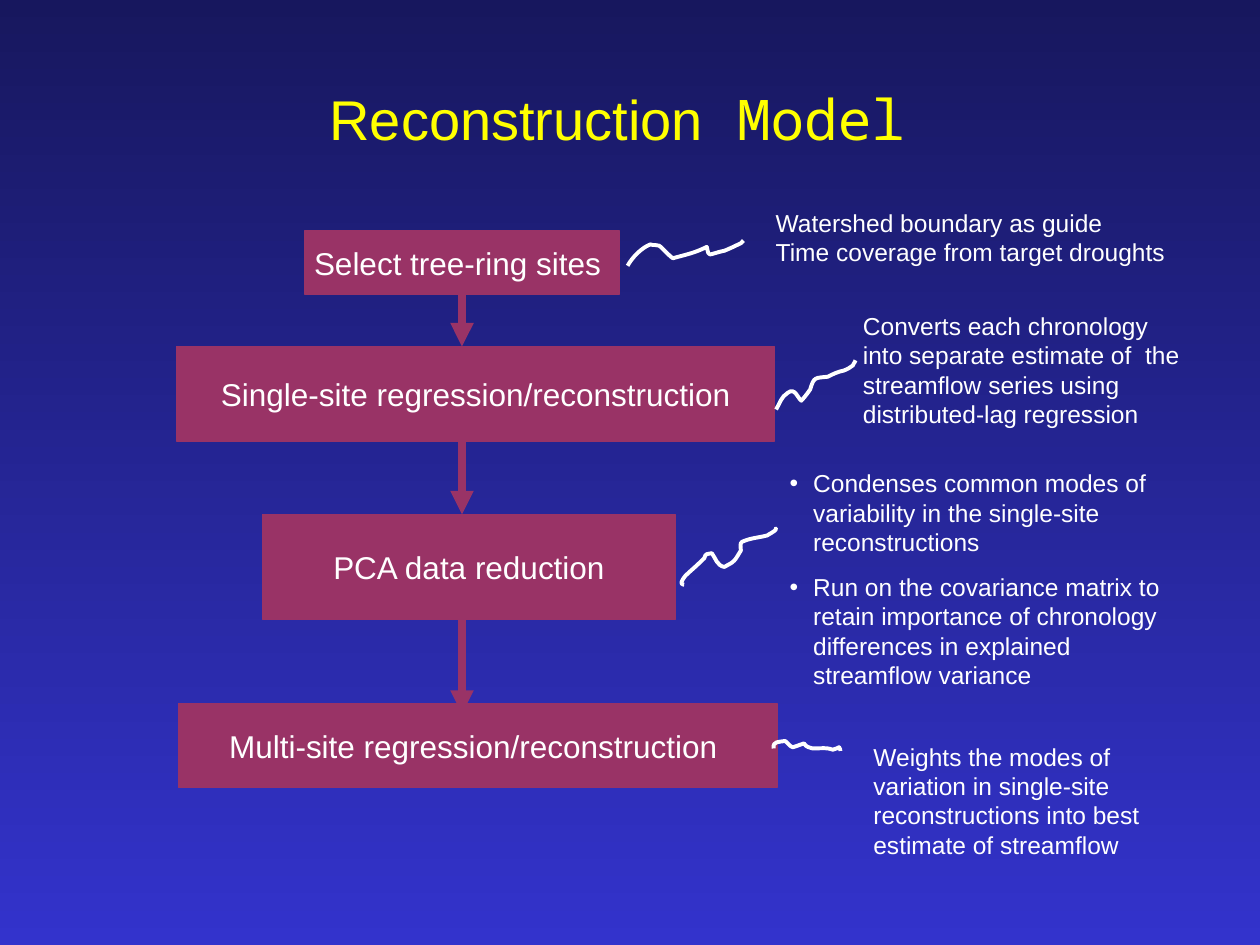
from lxml import etree
from pptx import Presentation
from pptx.dml.color import RGBColor
from pptx.enum.shapes import MSO_CONNECTOR, MSO_SHAPE
from pptx.enum.text import MSO_ANCHOR, MSO_AUTO_SIZE, PP_ALIGN
from pptx.oxml.ns import qn
from pptx.util import Pt

NAVY = RGBColor(0x17, 0x17, 0x5E)
BLUE = RGBColor(0x33, 0x33, 0xCC)
PLUM = RGBColor(0x99, 0x33, 0x66)
GOLD = RGBColor(0xFF, 0xFF, 0x00)
WHITE = RGBColor(0xFF, 0xFF, 0xFF)
SANS, MONO = "Arial", "Noto Sans Mono"
CENTER, MIDDLE = PP_ALIGN.CENTER, MSO_ANCHOR.MIDDLE
GROW, RECT, LINE = MSO_AUTO_SIZE.SHAPE_TO_FIT_TEXT, MSO_SHAPE.RECTANGLE, MSO_CONNECTOR.STRAIGHT

# Title runs: text, font, size
TITLE = [("Reconstruction", SANS, 32), (" Model", MONO, 32), (" ", MONO, 44)]

# Steps: text, (left, top, width, height)
STEPS = [
    ("Select tree-ring sites ", (174, 132, 180, 36)),
    ("Single-site regression/reconstruction", (100.8, 198, 342, 54)),
    ("PCA data reduction", (150, 294, 236, 60)),
    ("Multi-site regression/reconstruction ", (102, 402, 342, 48)),
]
AXIS = 264  # x of the arrows
ENDS = [198, 294, 408]  # y of the arrow tips

# Notes: lines, (left, top, width, height), wrap, bullets
NOTES = [
    (["Watershed boundary as guide", "Time coverage from target droughts"],
     (436.2, 115.3, 237.6, 41), False, False),
    (["Converts each chronology into separate estimate of  the streamflow "
      "series using distributed-lag regression"],
     (486, 174.2, 198, 75), True, False),
    (["Condenses common modes of variability in the single-site reconstructions",
      "Run on the covariance matrix to retain importance of chronology "
      "differences in explained streamflow variance"],
     (444.1, 264, 246, 134), True, True),
    (["Weights the modes of variation in single-site reconstructions into best "
      "estimate of streamflow"],
     (492, 420.2, 186, 75), True, False),
]

# Squiggles: start point, then three Bezier points per piece
CURVES = [
    [(358.6, 151.9),
     (361.4, 146.9), (366.5, 141.8), (371.5, 139.7),
     (373.7, 140.4), (375.1, 139.7), (376.6, 140.4),
     (378, 141.1), (382.3, 146.2), (384.5, 147.6),
     (392.4, 145.4), (396.7, 144.7), (403.9, 141.1),
     (405.4, 147.6), (403.9, 145.4), (414, 143.3),
     (417.6, 141.8), (419, 141.1), (423.4, 139),
     (424.1, 138.2), (424.8, 137.5), (424.8, 137.5)],
    [(443.5, 234),
     (445.7, 230.4), (446.4, 226.8), (450, 224.6),
     (454.3, 221), (455.8, 227.5), (457.9, 229),
     (460.1, 226.8), (463, 222.5), (463, 222.5),
     (465.1, 215.3), (465.8, 216), (473, 215.3),
     (475.9, 213.8), (478.8, 212.4), (482.4, 211.7),
     (483.8, 211), (486, 210.2), (487.4, 208.8),
     (488.2, 206.6), (488.2, 208.1), (488.9, 205.9)],
    [(391, 334.1),
     (391, 334.1), (389.5, 334.1), (389.5, 333.4),
     (388.8, 332.6), (391.7, 329), (391.7, 329),
     (394.6, 326.2), (397.4, 324), (400.3, 321.1),
     (401, 320.4), (402.5, 319), (402.5, 319),
     (403.2, 316.1), (403.9, 316.8), (406.8, 316.1),
     (409, 319), (409.7, 323.3), (414, 324),
     (417.6, 321.8), (419, 321.8), (421.2, 318.2),
     (421.9, 316.8), (422.6, 316.1), (423.4, 314.6),
     (423.4, 313.2), (422.6, 310.3), (424.1, 309.6),
     (429.1, 307.4), (432.7, 307.4), (438.5, 306),
     (439.2, 305.3), (442.8, 303.8), (443.5, 302.4),
     (444.2, 301.7), (442.8, 302.4), (442.8, 302.4)],
    [(442.1, 427.7),
     (441.4, 423.4), (445, 424.1), (448.6, 423.4),
     (450, 424.1), (450.7, 426.2), (452.9, 427),
     (453.6, 427), (457.2, 425.5), (459.4, 424.8),
     (460.8, 427), (462.2, 427), (464.4, 427.7),
     (470.2, 427.7), (471.6, 427), (475.9, 428.4),
     (477.4, 428.4), (478.8, 427), (479.5, 427),
     (480.2, 427.7), (480.2, 429.1), (480.2, 429.1)],
]


def place(box):
    return [Pt(v) for v in box]


def style(font, size, color=WHITE, name=SANS):
    font.name, font.size, font.color.rgb = name, Pt(size), color


def bullet(para):
    props = para._p.get_or_add_pPr()
    props.set("marL", str(Pt(13.5)))
    props.set("indent", str(-Pt(13.5)))
    etree.SubElement(props, qn("a:buFont")).set("typeface", SANS)
    etree.SubElement(props, qn("a:buChar")).set("char", "•")


def bend(wave):
    """Turn each three straight segments into one cubic Bezier piece."""
    segs = list(wave._element.iter(qn("a:lnTo")))
    for i in range(0, len(segs), 3):
        curve = etree.SubElement(segs[i].getparent(), qn("a:cubicBezTo"))
        for seg in segs[i:i + 3]:
            curve.append(seg[0])
            seg.getparent().remove(seg)


deck = Presentation()
deck.slide_width, deck.slide_height = Pt(720), Pt(540)
slide = deck.slides.add_slide(deck.slide_layouts[6])
shapes = slide.shapes

# Background, dark at the top
back = slide.background.fill
back.gradient()
back.gradient_angle = 270
for stop, color in zip(back.gradient_stops, (NAVY, BLUE)):
    stop.color.rgb = color

# Title
frame = shapes.add_textbox(*place((60, 17.8, 612, 90))).text_frame
frame.word_wrap, frame.vertical_anchor = True, MIDDLE
para = frame.paragraphs[0]
para.alignment = CENTER
for text, name, size in TITLE:
    run = para.add_run()
    run.text = text
    style(run.font, size, GOLD, name)

# Step boxes
for text, box in STEPS:
    rect = shapes.add_shape(RECT, *place(box))
    rect.shadow.inherit = False
    rect.fill.solid()
    rect.fill.fore_color.rgb = rect.line.color.rgb = PLUM
    rect.line.width = Pt(0.75)
    frame = rect.text_frame
    frame.word_wrap, frame.vertical_anchor = False, MIDDLE
    para = frame.paragraphs[0]
    para.text, para.alignment = text, CENTER
    style(para.font, 18)

# Arrows from each box to the next
for (_, box), end in zip(STEPS, ENDS):
    arrow = shapes.add_connector(LINE, *place((AXIS, box[1] + box[3], AXIS, end)))
    arrow.line.color.rgb, arrow.line.width = PLUM, Pt(4.5)
    etree.SubElement(arrow.line._get_or_add_ln(), qn("a:tailEnd")).set("type", "triangle")
    etree.SubElement(arrow._element.spPr, qn("a:effectLst"))

# Squiggles and notes
for pts, (lines, box, wrap, dots) in zip(CURVES, NOTES):
    first, *rest = [place(p) for p in pts]
    pen = shapes.build_freeform(*first)
    pen.add_line_segments(rest, close=False)
    wave = pen.convert_to_shape()
    bend(wave)
    wave.shadow.inherit = False
    wave.fill.background()
    wave.line.color.rgb, wave.line.width = WHITE, Pt(2.25)

    frame = shapes.add_textbox(*place(box)).text_frame
    frame.word_wrap, frame.auto_size = wrap, GROW
    for i, text in enumerate(lines):
        para = frame.add_paragraph() if i else frame.paragraphs[0]
        para.text = text
        if dots:
            bullet(para)
            para.space_before = Pt(8.8 if i else 0)
        style(para.font, 14)

deck.save("out.pptx")
